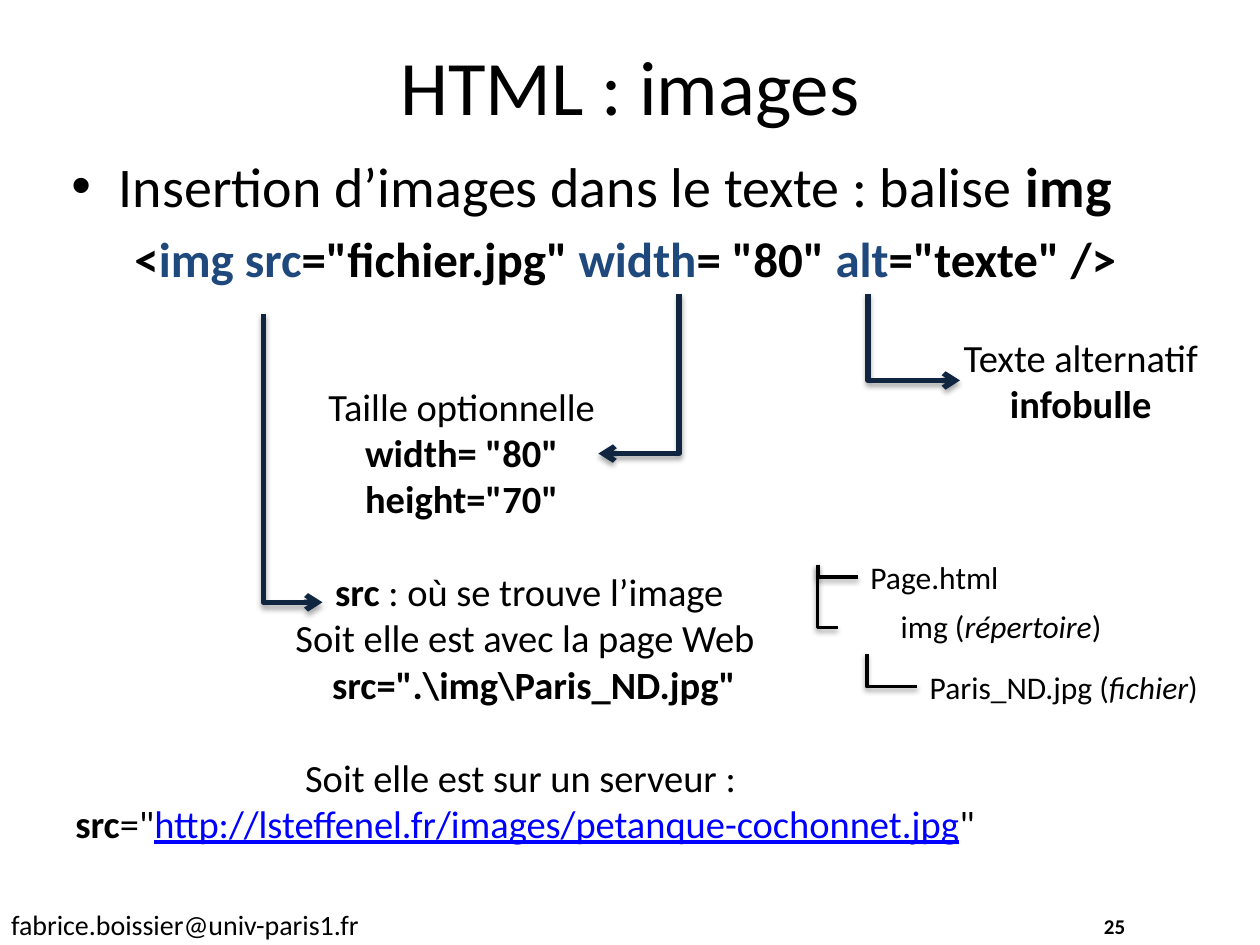
from lxml import etree
from pptx import Presentation
from pptx.dml.color import RGBColor
from pptx.enum.shapes import MSO_CONNECTOR
from pptx.enum.text import MSO_ANCHOR, PP_ALIGN
from pptx.oxml.ns import qn
from pptx.util import Pt

ELBOW = MSO_CONNECTOR.ELBOW
LEFT, CENTER = PP_ALIGN.LEFT, PP_ALIGN.CENTER
TOP, MIDDLE = MSO_ANCHOR.TOP, MSO_ANCHOR.MIDDLE
BLACK = RGBColor(0, 0, 0)
BLUE = RGBColor(0x1F, 0x49, 0x7D)
NAVY = RGBColor(0x10, 0x25, 0x3F)
LINK = RGBColor(0, 0, 0xFF)
FONT = "Calibri"


def add_text_box(slide, left, top, width, height, anchor=TOP, inset=True):
    box = slide.shapes.add_textbox(Pt(left), Pt(top), Pt(width), Pt(height))
    frame = box.text_frame
    frame.word_wrap = True
    frame.vertical_anchor = anchor
    if not inset:
        frame.margin_left = frame.margin_right = Pt(0)
        frame.margin_top = frame.margin_bottom = Pt(0)
    return frame


def add_paragraph(frame, runs, size, align=LEFT, bold=None, before=0,
                  margin=0, hanging=0, bullet=None):
    first = frame.paragraphs[0]
    paragraph = frame.add_paragraph() if first.runs else first
    properties = paragraph._p.get_or_add_pPr()
    properties.set("marL", str(Pt(margin)))
    properties.set("indent", str(Pt(-hanging)))
    if bullet:
        etree.SubElement(properties, qn("a:buFont"), typeface="Arial")
        etree.SubElement(properties, qn("a:buChar"), char=bullet)
    paragraph.alignment = align
    if before:
        paragraph.space_before = Pt(before)
    paragraph.font.name = FONT
    paragraph.font.size = Pt(size)
    paragraph.font.bold = bold
    paragraph.font.color.rgb = BLACK
    for text, style in runs:
        if text == "\n":
            paragraph.add_line_break()
            continue
        run = paragraph.add_run()
        run.text = text
        if style == "bold":
            run.font.bold = True
        elif style == "italic":
            run.font.italic = True
        elif style == "keyword":
            run.font.color.rgb = BLUE
        elif style == "link":
            run.font.color.rgb = LINK
            run.font.underline = True


def add_elbow(slide, start, end, color, weight, arrow=False):
    elbow = slide.shapes.add_connector(ELBOW, *map(Pt, start + end))
    elbow.line.color.rgb = color
    elbow.line.width = Pt(weight)
    properties = elbow._element.spPr
    adjustments = properties.find(qn("a:prstGeom")).get_or_add_avLst()
    etree.SubElement(adjustments, qn("a:gd"), name="adj1", fmla="val 0")
    if arrow:
        etree.SubElement(properties.find(qn("a:ln")), qn("a:tailEnd"), type="arrow")
    effects = etree.SubElement(properties, qn("a:effectLst"))
    shadow = etree.SubElement(effects, qn("a:outerShdw"), blurRad=str(Pt(3.1)),
                              dist=str(Pt(1.8)), dir="5400000", rotWithShape="0")
    shade = etree.SubElement(shadow, qn("a:srgbClr"), val=str(BLACK))
    etree.SubElement(shade, qn("a:alpha"), val="35000")


def add_heading(slide):
    title = add_text_box(slide, 36, 3.6, 648, 90, MIDDLE)
    add_paragraph(title, [("HTML : images", None)], 44, CENTER)
    syntax = add_text_box(slide, 33.8, 82.8, 648, 356)
    add_paragraph(syntax, [("Insertion d’images dans le texte : balise ", None),
                           ("img", "bold")], 32, margin=27, hanging=27, bullet="•")
    add_paragraph(syntax, [
        ("<", None), ("img src", "keyword"), ('="fichier.jpg" ', None),
        ("width", "keyword"), ('=\u00a0"80" ', None),
        ("alt", "keyword"), ('="texte" />', None),
    ], 28, bold=True, before=5.6, margin=36)


def add_attribute_notes(slide):
    source = add_text_box(slide, 31, 321.1, 538, 167)
    add_paragraph(source, [("src", "bold"), (" : où se trouve l’image", None)],
                  22, CENTER, margin=5)
    add_paragraph(source, [("Soit elle est avec la page Web", None)], 22, CENTER)
    add_paragraph(source, [('src=".\\img\\Paris_ND.jpg"', "bold")],
                  22, CENTER, margin=10)
    add_paragraph(source, [
        ("Soit elle est sur un serveur : ", None), ("\n", None),
        ("src", "bold"), ('="', None),
        ("http://lsteffenel.fr/images/petanque-cochonnet.jpg", "link"), ('"', None),
    ], 22, CENTER, before=26.8)

    dimensions = add_text_box(slide, 185.8, 218.9, 156, 80, inset=False)
    add_paragraph(dimensions, [("Taille optionnelle", None)], 22, CENTER)
    for setting in ('width=\u00a0"80"', 'height="70"'):
        add_paragraph(dimensions, [(setting, "bold")], 22, CENTER)

    alternative = add_text_box(slide, 548.6, 190.8, 138, 53, inset=False)
    add_paragraph(alternative, [("Texte alternatif", None)], 22, CENTER)
    add_paragraph(alternative, [("infobulle", "bold")], 22, CENTER)

    for start, end in (((150.5, 179.3), (184.3, 344.2)),
                       ((388.1, 167.8), (342, 259.2)),
                       ((496.1, 167.8), (548.6, 217.4))):
        add_elbow(slide, start, end, NAVY, 3, arrow=True)


def add_file_tree(slide):
    entries = (
        (490.3, 315.4, 92, [("Page.html", None)]),
        (507.6, 343.4, 134, [("img (", None), ("répertoire", "italic"), (")", None)]),
        (524.2, 378, 172, [("Paris_ND.jpg (", None), ("fichier", "italic"), (")", None)]),
    )
    for left, top, width, runs in entries:
        add_paragraph(add_text_box(slide, left, top, width, 29), runs, 18)
    for start, end in (((467.3, 322.6), (490.3, 329.8)),
                       ((467.3, 322.6), (478.8, 358.6)),
                       ((495.4, 373.7), (524.2, 392.4))):
        add_elbow(slide, start, end, BLACK, 2)


def add_footer(slide):
    author = add_text_box(slide, -0.7, 514.8, 222, 27)
    add_paragraph(author, [("fabrice.boissier@univ-paris1.fr", None)], 16)
    number = add_text_box(slide, 553, 514.8, 167.8, 28.8, MIDDLE)
    add_paragraph(number, [("25", None)], 12, CENTER, bold=True)


def main():
    deck = Presentation()
    deck.slide_width, deck.slide_height = Pt(720), Pt(540)
    slide = deck.slides.add_slide(deck.slide_layouts[6])
    add_heading(slide)
    add_attribute_notes(slide)
    add_file_tree(slide)
    add_footer(slide)
    deck.save("out.pptx")


if __name__ == "__main__":
    main()
